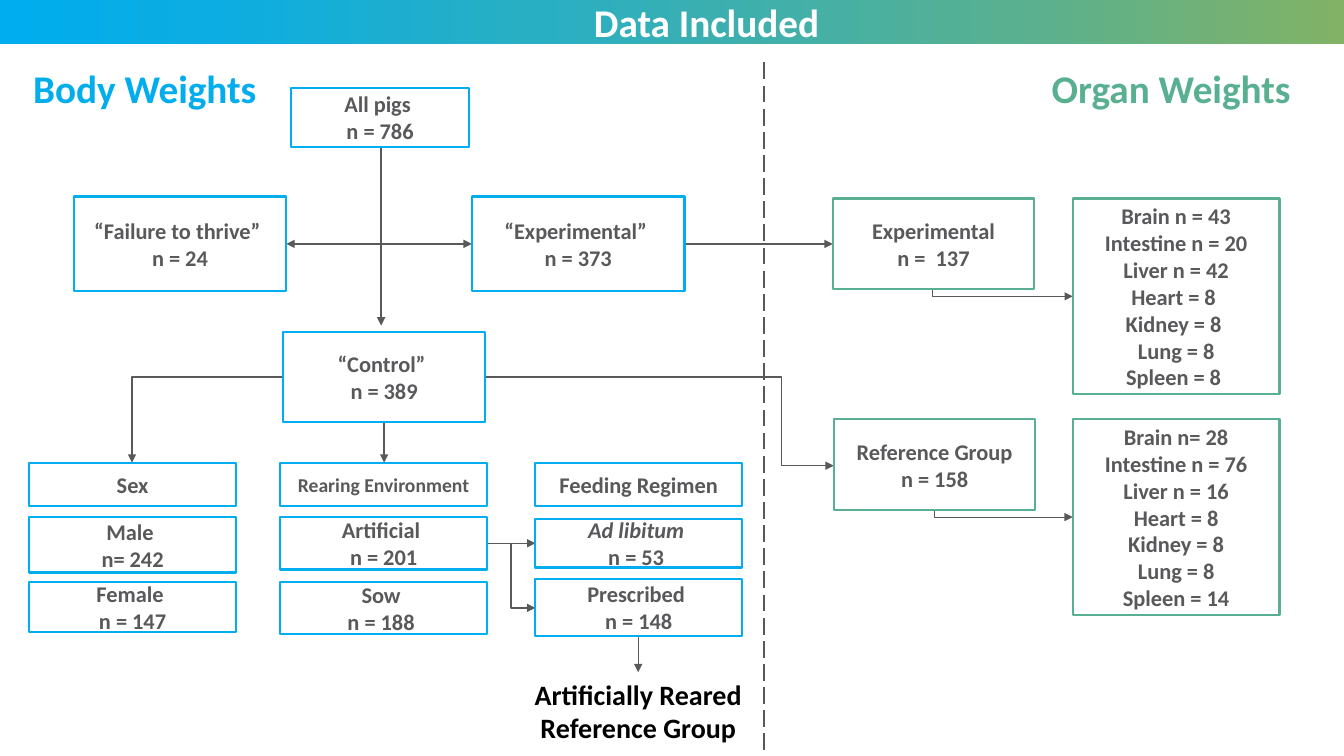
import pptx
import pptx.util
import pptx.oxml
import pptx.oxml.ns
import pptx.dml.color
import pptx.enum.dml
import pptx.enum.shapes
import pptx.enum.text

Inches = pptx.util.Inches
Pt = pptx.util.Pt
RGB = pptx.dml.color.RGBColor.from_string
ALIGN = pptx.enum.text.PP_ALIGN
ANCHOR = pptx.enum.text.MSO_ANCHOR
RECTANGLE = pptx.enum.shapes.MSO_SHAPE.RECTANGLE
CONNECTOR = pptx.enum.shapes.MSO_CONNECTOR
COLORS = {"body": "00ADEE", "body heading": "01ADED", "organ": "58B091",
          "ink": "59595C", "white": "FFFFFF", "black": "000000"}

deck = pptx.Presentation()
deck.slide_width, deck.slide_height = Inches(13.33), Inches(7.5)
slide = deck.slides.add_slide(deck.slide_layouts[5])
shapes = slide.shapes


def write(holder, lines, size, color, align=ALIGN.CENTER, anchor=ANCHOR.TOP, wrap=True):
    frame = holder.text_frame
    frame.text = "\n".join(lines)
    frame_format = {"word_wrap": wrap, "vertical_anchor": anchor,
                    "auto_size": pptx.enum.text.MSO_AUTO_SIZE.NONE}
    for key, value in frame_format.items():
        setattr(frame, key, value)
    for paragraph in frame.paragraphs:
        paragraph.alignment = align
        for key, value in {"name": "Calibri", "size": Pt(size), "bold": True}.items():
            setattr(paragraph.font, key, value)
        paragraph.font.color.rgb = RGB(COLORS[color])


def connect(start, end, route="straight", weight=1, arrow=True, bend=0.5):
    (x1, y1), (x2, y2) = start, end
    turn = 0
    if route == "down first":
        turn = 1 if x2 < x1 else -1
        middle_x, middle_y = (x1 + x2) / 2, (y1 + y2) / 2
        half_drop, half_run = turn * (y2 - y1) / 2, abs(x2 - x1) / 2
        x1, x2 = middle_x - half_drop, middle_x + half_drop
        y1, y2 = middle_y - half_run, middle_y + half_run
    kind = CONNECTOR.STRAIGHT if route == "straight" else CONNECTOR.ELBOW
    link = shapes.add_connector(kind, *map(Inches, (x1, y1, x2, y2)))
    link.line.color.rgb = RGB(COLORS["ink"])
    link.line.width = Pt(weight)
    properties = link.element.spPr
    geometry = properties.find(pptx.oxml.ns.qn("a:prstGeom"))
    if route in ("down first", "across first"):
        geometry.set("prst", "bentConnector2")
        properties.find(pptx.oxml.ns.qn("a:xfrm")).set("rot", str(turn % 4 * 5400000))
    elif route == "step":
        geometry.get_or_add_avLst().append(pptx.oxml.parse_xml(
            f'<a:gd {pptx.oxml.ns.nsdecls("a")} name="adj1" fmla="val {round(bend * 100000)}"/>'))
    if arrow:
        link.line._get_or_add_ln().append(pptx.oxml.parse_xml(
            f'<a:tailEnd {pptx.oxml.ns.nsdecls("a")} type="triangle"/>'))
    properties.append(pptx.oxml.parse_xml(f'<a:effectLst {pptx.oxml.ns.nsdecls("a")}/>'))
    return link


banner = shapes.add_shape(RECTANGLE, 0, Inches(-0.01), Inches(13.34), Inches(0.45))
banner.shadow.inherit = False
banner.line.fill.background()
banner.fill.gradient()
banner.fill.gradient_angle = 0
stops = banner.element.xpath(".//a:gsLst")[0]
for stop in list(stops):
    stops.remove(stop)
for position, tint in [(0, "00ADEE"), (15, "0BADE2"), (40, "29AFC3"), (75, "58B091"), (100, "81B266")]:
    stops.append(pptx.oxml.parse_xml(
        f'<a:gs {pptx.oxml.ns.nsdecls("a")} pos="{position * 1000}"><a:srgbClr val="{tint}"/></a:gs>'))

title = shapes.title
title.element.addprevious(banner.element)
for side, length in {"left": 5.79, "top": -0.07, "width": 2.46, "height": 0.57}.items():
    setattr(title, side, Inches(length))
write(title, ["Data Included"], 28, "white", align=ALIGN.LEFT, wrap=False)

connect((3.78, 1.46), (4.68, 2.42), "down first")
connect((3.78, 1.46), (2.84, 2.42), "down first")
connect((3.78, 1.46), (3.78, 3.23))
connect((6.79, 2.42), (8.26, 2.42))
connect((2.81, 3.74), (1.31, 4.59), "across first")
connect((3.81, 4.19), (3.81, 4.59))
connect((4.81, 3.74), (8.27, 4.62), "step", bend=0.85)
connect((4.83, 5.39), (5.31, 5.39))
connect((4.83, 5.39), (5.31, 6.03), "step")
connect((6.33, 6.32), (6.33, 6.67), weight=0.5)
connect((9.25, 2.87), (10.64, 2.94), "down first", 0.5)
connect((9.27, 5.07), (10.64, 5.13), "down first", 0.5)
divider = connect((7.58, 0.62), (7.58, 7.5), weight=1.5, arrow=False)
divider.line.dash_style = pptx.enum.dml.MSO_LINE.LONG_DASH

SEX, REARING, FEEDING, COLUMN = 0.29, 2.78, 5.31, 2.05
groups = [
    ("body", 2.89, 0.87, 1.76, 0.59, ["All pigs ", "n = 786"]),
    ("body", 0.73, 1.95, 2.11, 0.94, ["“Failure to thrive” ", "n = 24"]),
    ("body", 4.68, 1.95, 2.11, 0.94, ["“Experimental” ", "n = 373"]),
    ("body", 2.81, 3.29, 2, 0.9, ["“Control” ", "n = 389"]),
    ("body", SEX, 4.59, COLUMN, 0.43, ["Sex"]),
    ("body", SEX, 5.13, COLUMN, 0.55, ["Male ", "n= 242"]),
    ("body", SEX, 5.77, COLUMN, 0.5, ["Female ", "n = 147"]),
    ("body", REARING, 4.59, COLUMN, 0.43, ["Rearing Environment"]),
    ("body", REARING, 5.13, COLUMN, 0.52, ["Artificial ", "n = 201"]),
    ("body", REARING, 5.77, COLUMN, 0.52, ["Sow ", "n = 188 "]),
    ("body", FEEDING, 4.59, COLUMN, 0.43, ["Feeding Regimen"]),
    ("body", FEEDING, 5.15, COLUMN, 0.48, ["Ad libitum ", "n = 53 "]),
    ("body", FEEDING, 5.74, COLUMN, 0.57, ["Prescribed ", "n = 148"]),
    ("organ", 8.26, 1.97, 2, 0.9, ["Experimental", "n =  137"]),
    ("organ", 8.27, 4.16, 2, 0.9, ["Reference Group", "n = 158"]),
    ("organ", 10.64, 1.97, COLUMN, 1.94,
     ["Brain n = 43", "Intestine n = 20", "Liver n = 42", "Heart = 8 ", "Kidney = 8 ", "Lung = 8", "Spleen = 8 "]),
    ("organ", 10.64, 4.16, COLUMN, 1.94,
     ["Brain n= 28", "Intestine n = 76", "Liver n = 16", "Heart = 8", "Kidney = 8", "Lung = 8", "Spleen = 14"]),
]
for study, left, top, width, height, lines in groups:
    group = shapes.add_shape(RECTANGLE, *map(Inches, (left, top, width, height)))
    group.shadow.inherit = False
    group.fill.solid()
    group.fill.fore_color.rgb = RGB(COLORS["white"])
    group.line.color.rgb = RGB(COLORS[study])
    group.line.width = Pt(1.5)
    write(group, lines, 14 if lines == ["Rearing Environment"] else 16, "ink", anchor=ANCHOR.MIDDLE)
    if lines[0] == "Ad libitum ":
        group.text_frame.paragraphs[0].font.italic = True

captions = [
    (0.04, 0.59, 2.79, 0.57, ["Body Weights"], 28, "body heading", True),
    (10.2, 0.59, 2.83, 0.57, ["Organ Weights"], 28, "organ", True),
    (5.19, 6.67, 2.28, 0.77, ["Artificially Reared", "Reference Group"], 20, "black", False),
]
for left, top, width, height, lines, size, color, wrap in captions:
    caption = shapes.add_textbox(*map(Inches, (left, top, width, height)))
    write(caption, lines, size, color, wrap=wrap)

deck.save("out.pptx")
